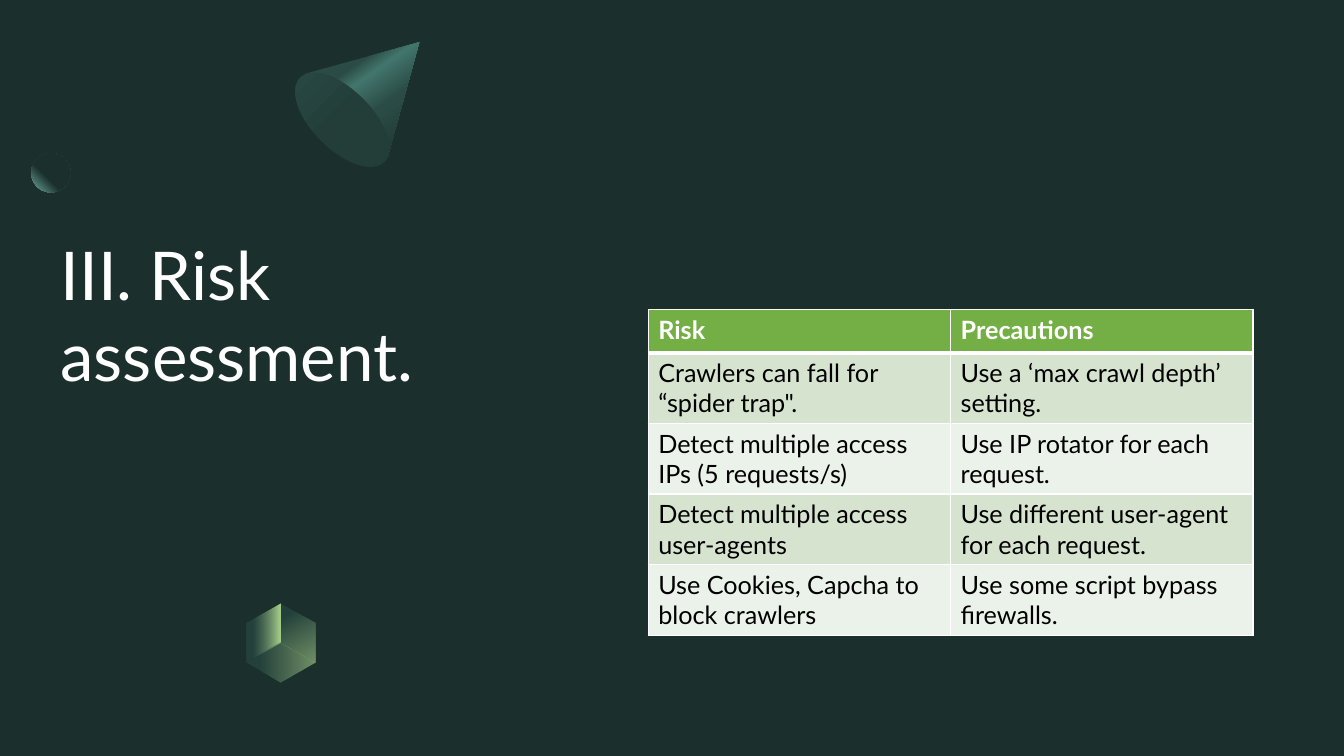
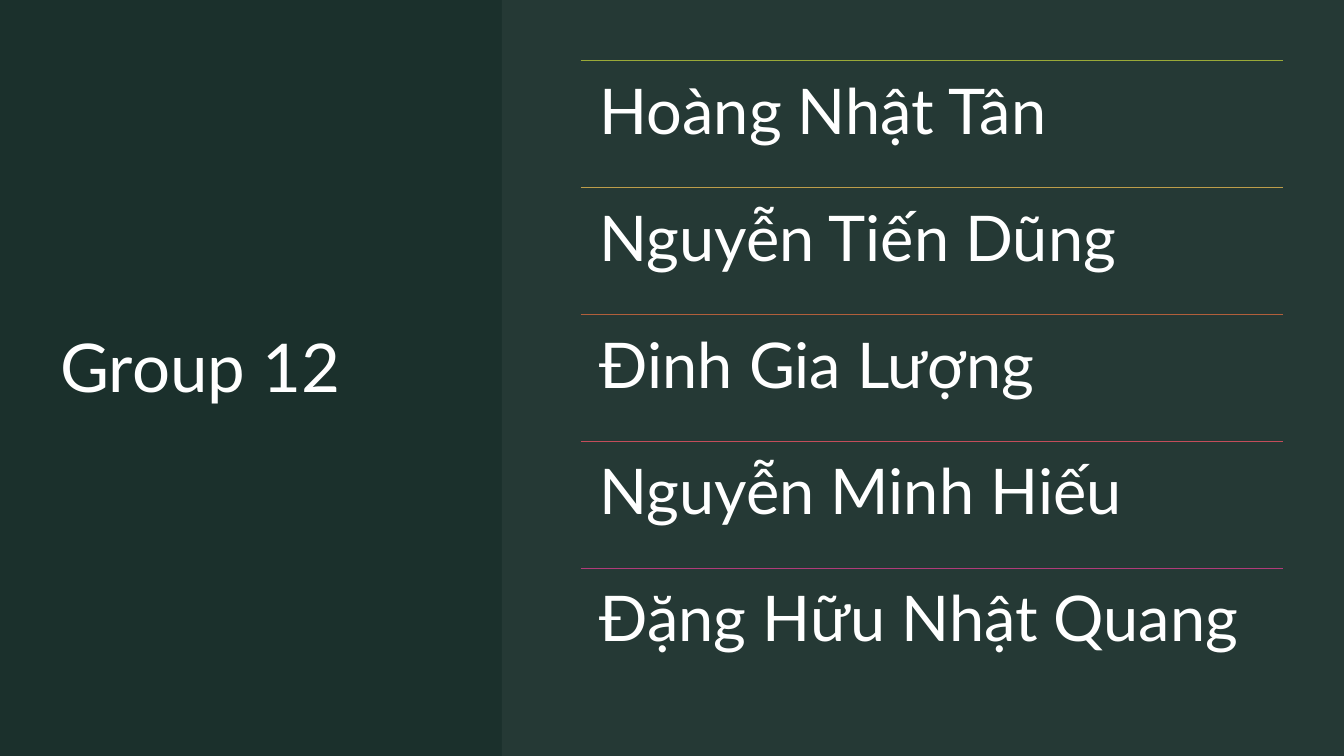
from dataclasses import dataclass
from typing import Any, NamedTuple

from lxml.etree import SubElement
from pptx import Presentation
from pptx.dml.color import RGBColor
from pptx.enum.shapes import MSO_CONNECTOR, MSO_SHAPE
from pptx.enum.text import MSO_ANCHOR, PP_ALIGN
from pptx.oxml import parse_xml
from pptx.oxml.ns import nsdecls, qn
from pptx.slide import Slide
from pptx.util import Pt

DARK = RGBColor(0x1B, 0x30, 0x2C)
PALE = RGBColor(0xE3, 0xEF, 0xED)
WHITE = RGBColor(0xFF, 0xFF, 0xFF)
BLACK = RGBColor(0, 0, 0)
GREEN = RGBColor(0x74, 0xAF, 0x45)
BANDS = (RGBColor(0xD6, 0xE3, 0xCF), RGBColor(0xEB, 0xF2, 0xE9))
MINT = RGBColor(0x74, 0xB1, 0xA5)
PINE = RGBColor(0x2B, 0x4C, 0x46)
TEAL = RGBColor(0x42, 0x76, 0x6C)
MOSS = RGBColor(0x23, 0x3E, 0x39)
LIME = RGBColor(0xAB, 0xD2, 0x8D)

WIDE, HIGH = 960, 540
EDGE = 43.2
TITLE = {"name": "Lato", "size": Pt(48), "bold": False}
MEMBER = TITLE | {"size": Pt(45)}
ENTRY = TITLE | {"size": Pt(18)}
HEAD = ENTRY | {"bold": True}


class Box(NamedTuple):
    """Left, top, width and height in points."""
    left: float
    top: float
    width: float
    height: float

    def lengths(self) -> list[Pt]:
        """Give the four values as lengths."""
        return [Pt(value) for value in self]


class Stop(NamedTuple):
    """One gradient stop; place and alpha in percent."""
    place: int
    color: RGBColor
    alpha: int = 100


@dataclass(frozen=True)
class Blend:
    """A linear gradient, or a round one from the top right corner."""
    stops: tuple[Stop, ...]
    angle: int = 0
    round: bool = False


@dataclass(frozen=True)
class Facet:
    """A flat outline with its gradient."""
    points: tuple[tuple[float, float], ...]
    blend: Blend


@dataclass(frozen=True)
class Oval:
    """An ellipse with its gradient."""
    box: Box
    blend: Blend
    turn: float = 0


class Member(NamedTuple):
    """A name and the colour of the rule above it."""
    name: str
    color: RGBColor


BALL = Oval(Box(22.3, 109.4, 28.1, 28.1),
            Blend((Stop(60, DARK), Stop(100, MINT)), round=True))
CONE = Facet(
    ((299.5, 30.2), (277.2, 110.9), (274.3, 115.2),
     (229.7, 100.1), (214.6, 55.4), (218.2, 52.6)),
    Blend((Stop(30, PINE), Stop(40, TEAL), Stop(60, PINE), Stop(100, DARK)), 55))
MOUTH = Oval(Box(223.2, 43.2, 42.5, 85),
             Blend((Stop(50, MOSS), Stop(100, PINE)), 90), 135)

PEAK, FOOT, CORE = (200.6, 431.3), (200.6, 487.4), (200.6, 459.4)
LEFT_UP, LEFT_LOW = (176.4, 445), (176.4, 473.4)
RIGHT_UP, RIGHT_LOW = (225.4, 445), (225.4, 473.4)
SHEER = (Stop(20, PINE, 60), Stop(100, LIME, 60))
CUBE = (
    Facet((RIGHT_UP, PEAK, CORE, RIGHT_LOW), Blend(SHEER, 60)),
    Facet((LEFT_LOW, LEFT_UP, PEAK, CORE),
          Blend((Stop(20, PINE, 60), Stop(100, LIME)))),
    Facet((RIGHT_LOW, FOOT, LEFT_LOW, CORE), Blend(SHEER)),
)

RISKS = (
    ("Risk", "Precautions"),
    ("Crawlers can fall for “spider trap\".", "Use a ‘max crawl depth’ setting."),
    ("Detect multiple access IPs (5 requests/s)", "Use IP rotator for each request."),
    ("Detect multiple access user-agents", "Use different user-agent for each request."),
    ("Use Cookies, Capcha to block crawlers", "Use some script bypass firewalls."),
)
MEMBERS = (
    Member("Hoàng Nhật Tân", RGBColor(0x9A, 0xA9, 0x38)),
    Member("Nguyễn Tiến Dũng", RGBColor(0xBD, 0x9D, 0x4A)),
    Member("Đinh Gia Lượng", RGBColor(0xB1, 0x5F, 0x3B)),
    Member("Nguyễn Minh Hiếu", RGBColor(0xC3, 0x4D, 0x5A)),
    Member("Đặng Hữu Nhật Quang", RGBColor(0xB1, 0x3B, 0x7A)),
)


def write(frame: Any, text: str, style: dict[str, Any],
          color: RGBColor = WHITE) -> None:
    """Put styled text in a frame."""
    frame.word_wrap = True
    line = frame.paragraphs[0]
    line.alignment = PP_ALIGN.LEFT
    run = line.add_run()
    run.text = text
    for key, value in style.items():
        setattr(run.font, key, value)
    run.font.color.rgb = color


def add_text(slide: Slide, box: Box, text: str, style: dict[str, Any],
             anchor: MSO_ANCHOR, inset: float = 0) -> Any:
    """Add a text box and return its frame."""
    frame = slide.shapes.add_textbox(*box.lengths()).text_frame
    for side in ("left", "top", "right", "bottom"):
        setattr(frame, f"margin_{side}", Pt(inset))
    frame.vertical_anchor = anchor
    write(frame, text, style)
    return frame


def strip(shape: Any) -> None:
    """Remove the shadow and outline of a shape."""
    shape.shadow.inherit = False
    shape.line.fill.background()


def add_panel(slide: Slide, box: Box, color: RGBColor, alpha: int = 100) -> None:
    """Add a plain rectangle, sheer when alpha is below 100."""
    panel = slide.shapes.add_shape(MSO_SHAPE.RECTANGLE, *box.lengths())
    strip(panel)
    panel.fill.solid()
    panel.fill.fore_color.rgb = color
    if alpha < 100:
        tint = panel.element.spPr.find(".//" + qn("a:srgbClr"))
        SubElement(tint, qn("a:alpha"), val=str(alpha * 1000))


def shade(shape: Any, blend: Blend) -> None:
    """Fill a shape with a gradient."""
    strip(shape)
    stops = "".join(
        f'<a:gs pos="{stop.place * 1000}"><a:srgbClr val="{stop.color}">'
        f'<a:alpha val="{stop.alpha * 1000}"/></a:srgbClr></a:gs>'
        for stop in blend.stops)
    if blend.round:
        course = ('<a:path path="circle"><a:fillToRect l="100000" b="100000"/>'
                  '</a:path>')
    else:
        course = f'<a:lin ang="{blend.angle * 60000}" scaled="0"/>'
    shape.element.spPr[1].addnext(parse_xml(
        f'<a:gradFill {nsdecls("a")} rotWithShape="1">'
        f'<a:gsLst>{stops}</a:gsLst>{course}</a:gradFill>'))


def add_oval(slide: Slide, oval: Oval) -> None:
    """Draw an oval."""
    shape = slide.shapes.add_shape(MSO_SHAPE.OVAL, *oval.box.lengths())
    shape.rotation = oval.turn
    shade(shape, oval.blend)


def add_facet(slide: Slide, facet: Facet) -> None:
    """Draw a facet."""
    first, *rest = [(Pt(x), Pt(y)) for x, y in facet.points]
    pen = slide.shapes.build_freeform(*first)
    pen.add_line_segments(rest, close=True)
    shade(pen.convert_to_shape(), facet.blend)


def add_rule(slide: Slide, left: float, top: float, width: float,
             color: RGBColor) -> None:
    """Draw a thin level line."""
    rule = slide.shapes.add_connector(
        MSO_CONNECTOR.STRAIGHT, Pt(left), Pt(top), Pt(left + width), Pt(top))
    rule.line.width = Pt(1)
    rule.line.color.rgb = color
    SubElement(rule.element.spPr, qn("a:effectLst"))


def add_edges(cell: Any, row: int) -> None:
    """Give a cell white borders, heavy between head and body."""
    heavy = {(0, "B"), (1, "T")}
    for spot, side in enumerate("LRTB"):
        width = Pt(3 if (row, side) in heavy else 1)
        edge = parse_xml(
            f'<a:ln{side} {nsdecls("a")} w="{width}"><a:solidFill>'
            f'<a:srgbClr val="{WHITE}"/></a:solidFill></a:ln{side}>')
        cell._tc.get_or_add_tcPr().insert(spot, edge)


def add_grid(slide: Slide, box: Box, rows: tuple[tuple[str, ...], ...],
             top: float) -> None:
    """Add a banded table whose head row has its own height."""
    grid = slide.shapes.add_table(len(rows), len(rows[0]), *box.lengths()).table
    grid.first_row = grid.horz_banding = False
    for row, texts in enumerate(rows):
        body = (box.height - top) / (len(rows) - 1)
        grid.rows[row].height = Pt(body if row else top)
        for col, text in enumerate(texts):
            cell = grid.cell(row, col)
            cell.fill.solid()
            cell.fill.fore_color.rgb = BANDS[(row - 1) % 2] if row else GREEN
            add_edges(cell, row)
            write(cell.text_frame, text, ENTRY if row else HEAD,
                  BLACK if row else WHITE)


def add_page(deck: Any) -> Slide:
    """Add a blank slide with the dark ground."""
    slide = deck.slides.add_slide(deck.slide_layouts[6])
    slide.background.fill.solid()
    slide.background.fill.fore_color.rgb = DARK
    add_panel(slide, Box(0, 0, WIDE, HIGH), DARK)
    return slide


def add_title(slide: Slide, text: str, height: float, anchor: MSO_ANCHOR) -> None:
    """Add the title in the left column."""
    add_text(slide, Box(EDGE, EDGE, 280.8, height), text, TITLE, anchor)


def draw_risks(deck: Any) -> None:
    """Build the risk slide."""
    slide = add_page(deck)
    add_oval(slide, BALL)
    add_facet(slide, CONE)
    add_oval(slide, MOUTH)
    add_title(slide, "III. Risk assessment.", 239, MSO_ANCHOR.BOTTOM)
    for facet in CUBE:
        add_facet(slide, facet)
    add_grid(slide, Box(463, 221, 432, 232.6), RISKS, 31)


def draw_group(deck: Any) -> None:
    """Build the group slide."""
    slide = add_page(deck)
    add_title(slide, "Group 12", 436.3, MSO_ANCHOR.MIDDLE)
    add_panel(slide, Box(358.5, 0, WIDE - 358.5, HIGH), PALE, 5)
    left, width, pitch = 414.7, 501.8, 90.7
    for index, member in enumerate(MEMBERS):
        top = EDGE + index * pitch
        add_rule(slide, left, top, width, member.color)
        frame = add_text(slide, Box(left, top, width, pitch), member.name,
                         MEMBER, MSO_ANCHOR.TOP, 13.7)
        frame.paragraphs[0].line_spacing = 0.9


def main() -> None:
    """Build and save the deck."""
    deck = Presentation()
    deck.slide_width, deck.slide_height = Pt(WIDE), Pt(HIGH)
    draw_risks(deck)
    draw_group(deck)
    deck.save("out.pptx")


main()
